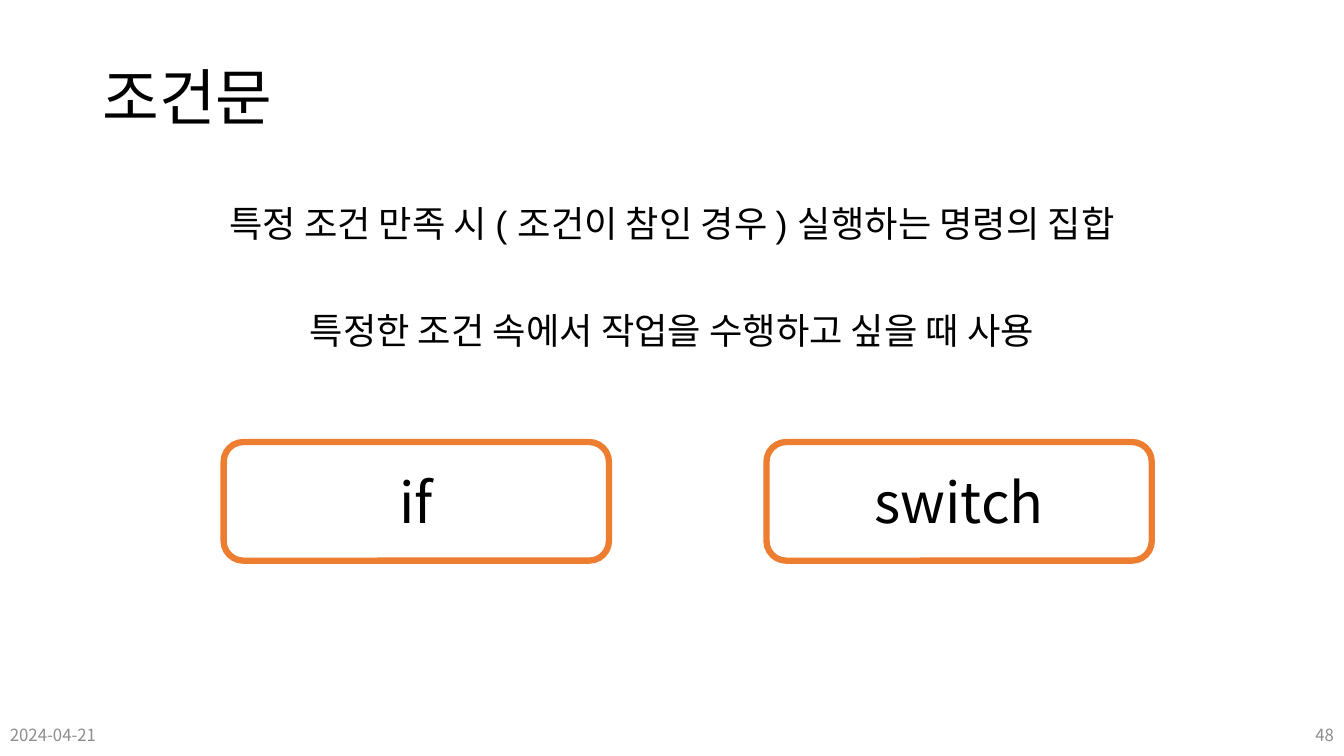
import pptx
import pptx.dml.color
import pptx.enum.shapes
import pptx.enum.text
import pptx.oxml.ns
import pptx.util
from lxml import etree

PX = 9525
ALIGN = pptx.enum.text.PP_ALIGN
ANCHOR = pptx.enum.text.MSO_ANCHOR


class Theme:
    text = pptx.dml.color.RGBColor.from_string("000000")
    muted = pptx.dml.color.RGBColor.from_string("8C8C8C")
    paper = pptx.dml.color.RGBColor.from_string("FFFFFF")
    accent = pptx.dml.color.RGBColor.from_string("ED7D31")
    latin = "Arial"
    korean = "Noto Sans CJK KR"
    title_size, body_size, keyword_size, footer_size = 44, 25.9, 40, 12


def px(*lengths):
    return [pptx.util.Emu(length * PX) for length in lengths]


def write(box, lines, size, font, color, align, anchor=ANCHOR.MIDDLE):
    """Fill a box with one paragraph per line, all in one style."""
    frame = box.text_frame
    frame.word_wrap = True
    frame.auto_size = pptx.enum.text.MSO_AUTO_SIZE.NONE
    frame.vertical_anchor = anchor
    frame.text = "\n".join(lines)
    for para in frame.paragraphs:
        para.alignment = align
        for span in para.runs:
            span.font.size = pptx.util.Pt(size)
            span.font.name = font
            span.font.color.rgb = color
            east_asian = etree.SubElement(span.font._element, pptx.oxml.ns.qn("a:ea"))
            east_asian.set("typeface", Theme.korean)
    return frame.paragraphs


deck = pptx.Presentation()
deck.slide_width, deck.slide_height = px(1280, 720)
page = deck.slides.add_slide(deck.slide_layouts[5])

# Title
title = page.shapes.title
title.left, title.top, title.width, title.height = px(88, 38, 1104, 115)
heading = write(title, ["조건문"], Theme.title_size, Theme.latin, Theme.text, ALIGN.LEFT)
heading[0].line_spacing = 0.9

# Definition and use
body = page.shapes.add_textbox(*px(88, 192, 1104, 168))
statements = write(
    body,
    ["특정 조건 만족 시 ( 조건이 참인 경우 ) 실행하는 명령의 집합",
     "특정한 조건 속에서 작업을 수행하고 싶을 때 사용"],
    Theme.body_size, Theme.latin, Theme.text, ALIGN.CENTER, ANCHOR.TOP)
for para in statements:
    para.line_spacing = 0.9
statements[1].space_before = pptx.util.Pt(48)

# Keywords
for column, keyword in enumerate(["if", "switch"]):
    card = page.shapes.add_shape(
        pptx.enum.shapes.MSO_SHAPE.ROUNDED_RECTANGLE,
        *px(213 + column * 517, 421, 367, 113))
    card.shadow.inherit = False
    card.fill.solid()
    card.fill.fore_color.rgb = Theme.paper
    card.line.color.rgb = Theme.accent
    card.line.width = pptx.util.Pt(4.5)
    write(card, [keyword], Theme.keyword_size, Theme.korean, Theme.text, ALIGN.CENTER)

# Date and page number
for left, label, align in [(0, "2024-04-21", ALIGN.LEFT), (992, "48", ALIGN.RIGHT)]:
    footer = page.shapes.add_textbox(*px(left, 681, 288, 38))
    write(footer, [label], Theme.footer_size, Theme.korean, Theme.muted, align)

deck.save("out.pptx")
